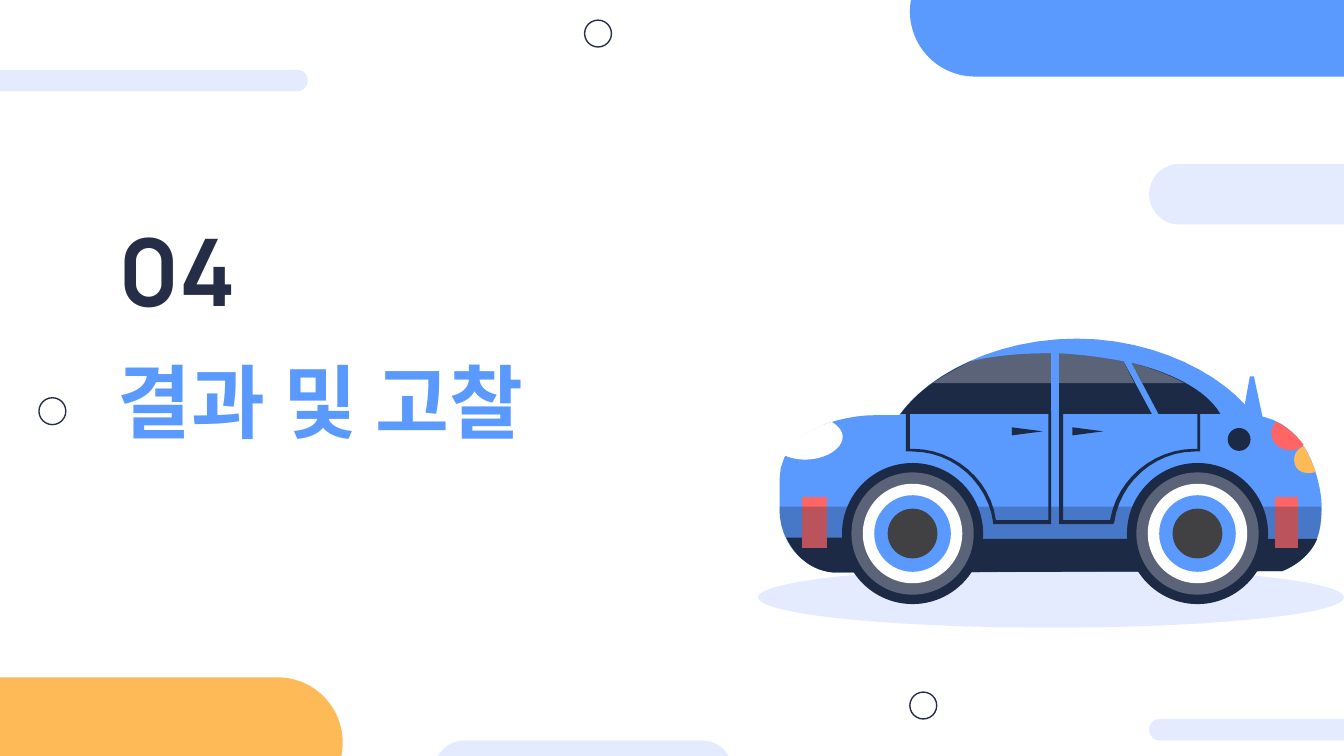
from pptx import Presentation
from pptx.dml.color import RGBColor as RGB
from pptx.enum.shapes import MSO_SHAPE as Kind
from pptx.enum.text import MSO_ANCHOR as Anchor
from pptx.oxml.ns import qn
from pptx.util import Inches, Pt
from lxml import etree

BLUE, PALE, AMBER, INK = "5A9AFF", "E4EBFF", "FFBA58", "262E47"
DARK, RED, WHITE, GREY = "1D2A46", "FF6565", "FFFFFF", "414042"

# Background pills: left, top, width, height, colour
PILLS = [
    (6.77, -0.4, 3.81, 0.97, BLUE),
    (-1.52, 0.52, 3.81, 0.16, PALE),
    (8.55, 1.22, 2.22, 0.45, PALE),
    (-1.26, 5.04, 3.81, 0.97, AMBER),
    (3.23, 5.51, 2.22, 0.45, PALE),
    (8.55, 5.35, 3.81, 0.16, PALE),
]
RINGS = [(6.77, 5.15), (4.35, 0.15), (0.29, 2.96)]

# Titles: text, box, size, colour, anchor
TITLES = [
    ("결과 및 고찰", (0.78, 2.52, 4.04, 0.92), 43, BLUE, Anchor.BOTTOM),
    ("04", (0.78, 1.44, 1.19, 1.12), 50, INK, Anchor.MIDDLE),
]

# Car outlines in inches: path, colour, opacity in percent
BODY = [
    ("M 8.01 2.52 C 7.42 2.52 6.91 2.78 6.69 3.09 L 6.51 3.09 "
     "C 6.26 3.09 5.8 3.2 5.8 3.57 L 5.8 3.79 C 5.8 4.04 5.98 4.24 6.2 4.26 "
     "L 9.54 4.25 C 9.64 4.21 9.73 4.14 9.78 4.05 9.83 3.96 9.84 3.8 9.83 3.7 "
     "9.79 3.41 9.65 3.12 9.33 3.09 9.11 2.79 8.6 2.52 8.01 2.52", BLUE, 100),
    # bumper
    ("M 5.85 4 C 5.92 4.15 6.05 4.25 6.2 4.26 L 9.54 4.25 "
     "C 9.64 4.21 9.75 4.13 9.8 4.01 L 6.28 4.01 6.28 4", DARK, 100),
    # lamps
    ("M 9.5 3.14 C 9.47 3.16 9.46 3.19 9.46 3.22 9.46 3.29 9.52 3.35 9.6 3.35 "
     "9.64 3.35 9.67 3.34 9.7 3.31 9.65 3.24 9.58 3.18 9.5 3.14", RED, 100),
    ("M 9.7 3.32 C 9.66 3.34 9.63 3.37 9.63 3.42 9.63 3.48 9.67 3.52 9.74 3.52 "
     "9.75 3.52 9.77 3.52 9.79 3.51 9.76 3.44 9.74 3.38 9.7 3.32", AMBER, 100),
    ("M 6.19 3.14 C 6.05 3.18 5.91 3.26 5.84 3.39 5.89 3.41 5.94 3.42 5.99 3.42 "
     "6.14 3.42 6.27 3.34 6.27 3.25 6.27 3.21 6.24 3.17 6.19 3.14", WHITE, 100),
    ("M 9.49 3.7 L 9.49 4.08 9.66 4.08 9.66 3.7", RED, 100),
    ("M 5.97 3.7 L 5.97 4.08 6.15 4.08 6.15 3.7", RED, 100),
    # aerial
    ("M 9.3 2.8 L 9.24 3.13 9.4 3.13 9.33 2.8", BLUE, 100),
    # lower shade
    ("M 5.8 3.77 L 5.8 3.79 C 5.8 4.04 5.98 4.24 6.2 4.26 L 9.54 4.25 "
     "C 9.64 4.21 9.73 4.14 9.78 4.05 9.82 3.98 9.84 3.87 9.83 3.77", DARK, 30),
]
CABIN = [
    # door edges
    ("M 6.74 3.06 L 6.74 3.36 6.79 3.36 C 7.09 3.36 7.35 3.59 7.39 3.89 "
     "L 7.39 3.9 7.82 3.9 7.82 3.06 7.8 3.06 7.8 3.87 7.41 3.87 "
     "C 7.37 3.57 7.1 3.34 6.79 3.34 L 6.77 3.34 6.77 3.06", DARK, 100),
    ("M 7.88 3.06 L 7.88 3.9 8.28 3.9 8.29 3.89 C 8.33 3.59 8.59 3.36 8.89 3.36 "
     "L 8.93 3.36 8.93 3.06 8.91 3.06 8.91 3.34 8.89 3.34 "
     "C 8.58 3.34 8.31 3.57 8.26 3.87 L 7.91 3.87 7.91 3.06", DARK, 100),
    # windows
    ("M 7.78 2.63 C 7.58 2.63 7.39 2.65 7.22 2.69 6.99 2.79 6.81 2.93 6.7 3.08 "
     "L 7.82 3.08 7.82 2.63 M 7.88 2.63 L 7.88 3.08 8.57 3.08 8.36 2.69 "
     "C 8.21 2.66 8.05 2.64 7.88 2.63 M 8.42 2.7 L 8.62 3.08 9.08 3.08 "
     "C 8.99 2.92 8.75 2.78 8.42 2.7", DARK, 100),
    # window glare
    ("M 7.88 2.63 L 7.88 2.85 8.44 2.85 8.36 2.69 "
     "C 8.21 2.66 8.05 2.64 7.88 2.63", WHITE, 27),
    ("M 7.78 2.63 C 7.58 2.63 7.39 2.65 7.22 2.69 7.12 2.74 7.03 2.79 6.94 2.85 "
     "L 7.82 2.85 7.82 2.63", WHITE, 27),
    ("M 8.42 2.7 L 8.5 2.85 8.81 2.85 C 8.7 2.79 8.57 2.74 8.42 2.7", WHITE, 27),
    # handles
    ("M 7.53 3.18 L 7.53 3.24 7.76 3.21", DARK, 100),
    ("M 7.98 3.18 L 7.98 3.24 8.21 3.21", DARK, 100),
]
HUBS = [6.79, 8.91]
AXLE = 3.97
# Wheel discs: diameter, colour, opacity
DISCS = [(1.05, DARK, 100), (0.91, WHITE, 27), (0.74, WHITE, 100),
         (0.57, BLUE, 100), (0.37, GREY, 100)]
STEPS = 12


def paint(shape, color, alpha=100):
    shape.shadow.inherit = False
    shape.line.fill.background()
    shape.fill.solid()
    shape.fill.fore_color.rgb = RGB.from_string(color)
    if alpha < 100:
        tint = shape.fill._xPr.find(qn("a:solidFill"))[0]
        etree.SubElement(tint, qn("a:alpha"), val=str(alpha * 1000))


def add(kind, x, y, w, h, color, alpha=100):
    shape = slide.shapes.add_shape(kind, *map(Inches, (x, y, w, h)))
    paint(shape, color, alpha)
    return shape


def disc(x, y, size, color, alpha=100):
    add(Kind.OVAL, x - size / 2, y - size / 2, size, size, color, alpha)


def curve(a, b, c, d):
    """Points along a cubic curve, after its start."""
    for i in range(1, STEPS + 1):
        t = i / STEPS
        u = 1 - t
        yield tuple(u**3 * p + 3 * u * u * t * q + 3 * u * t * t * r + t**3 * s
                    for p, q, r, s in zip(a, b, c, d))


def trace(path):
    """Turn a path into one list of points per contour."""
    loops, mode = [], ""
    words = iter(path.split())
    for word in words:
        if word.isalpha():
            mode = word
            continue
        spot = (float(word), float(next(words)))
        if mode == "M":
            loops.append([spot])
        elif mode == "L":
            loops[-1].append(spot)
        else:
            ctrl, end = [(float(next(words)), float(next(words))) for _ in "ab"]
            loops[-1].extend(curve(loops[-1][-1], spot, ctrl, end))
    return [[(Inches(x), Inches(y)) for x, y in loop] for loop in loops]


def draw(path, color, alpha):
    first, *rest = trace(path)
    pen = slide.shapes.build_freeform(*first[0], scale=1.0)
    pen.add_line_segments(first[1:], close=True)
    for loop in rest:
        pen.move_to(*loop[0])
        pen.add_line_segments(loop[1:], close=True)
    paint(pen.convert_to_shape(), color, alpha)


# Widescreen page, 16 to 9
deck = Presentation()
deck.slide_width = Inches(10)
deck.slide_height = deck.slide_width * 9 // 16
slide = deck.slides.add_slide(deck.slide_layouts[6])

# Background
for x, y, w, h, color in PILLS:
    add(Kind.ROUNDED_RECTANGLE, x, y, w, h, color).adjustments[0] = 0.5
for x, y in RINGS:
    ring = add(Kind.OVAL, x, y, 0.2, 0.2, WHITE)
    ring.fill.background()
    ring.line.color.rgb = RGB.from_string(INK)
    ring.line.width = Pt(0.75)

# Titles
for text, spot, size, color, anchor in TITLES:
    frame = slide.shapes.add_textbox(*map(Inches, spot)).text_frame
    frame.word_wrap = True
    frame.vertical_anchor = anchor
    frame.margin_left = frame.margin_right = Inches(0.1)
    frame.margin_top = frame.margin_bottom = Inches(0.1)
    run = frame.paragraphs[0].add_run()
    run.text = text
    font = run.font
    font.name, font.size, font.bold = "Manrope", Pt(size), True
    font.color.rgb = RGB.from_string(color)

# Car
add(Kind.OVAL, 5.64, 4.22, 4.36, 0.45, PALE)
for part in BODY:
    draw(*part)
disc(9.22, 3.27, 0.17, DARK)
for hub in HUBS:
    for size, color, alpha in DISCS:
        disc(hub, AXLE, size, color, alpha)
for part in CABIN:
    draw(*part)

deck.save("out.pptx")
